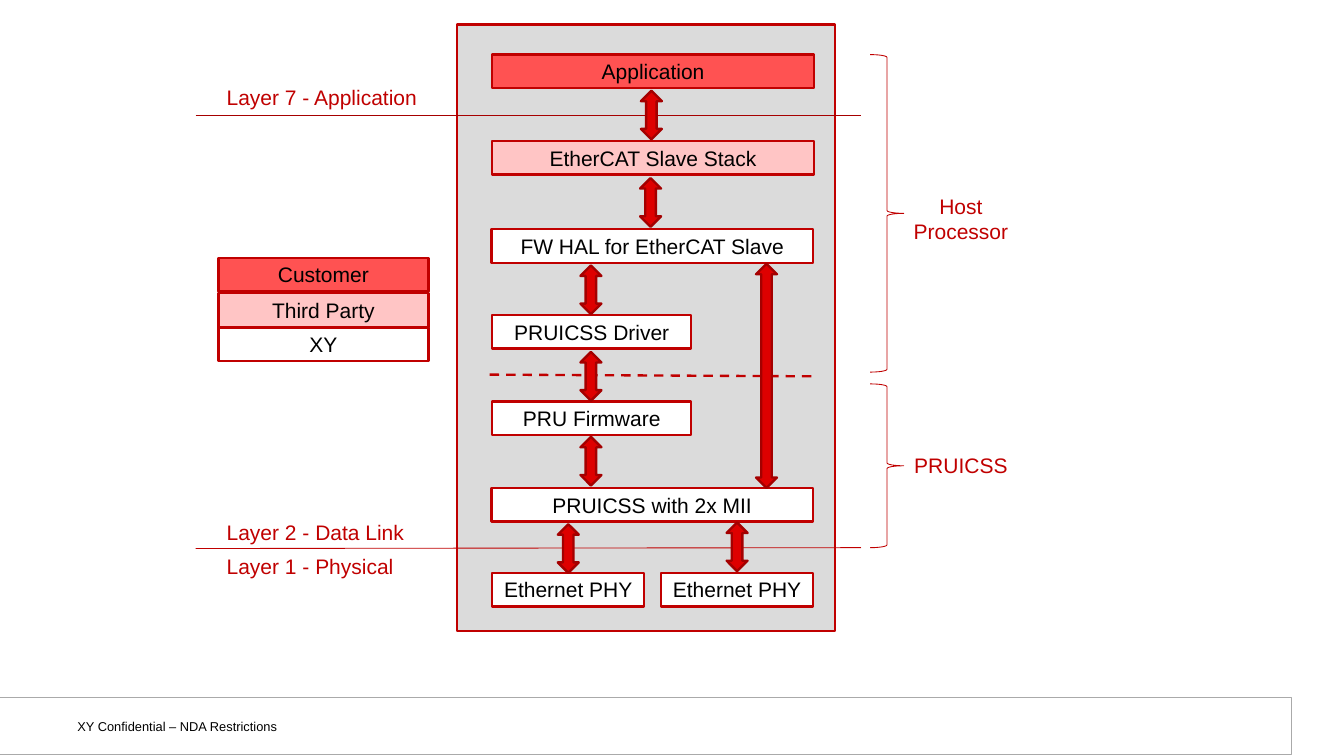
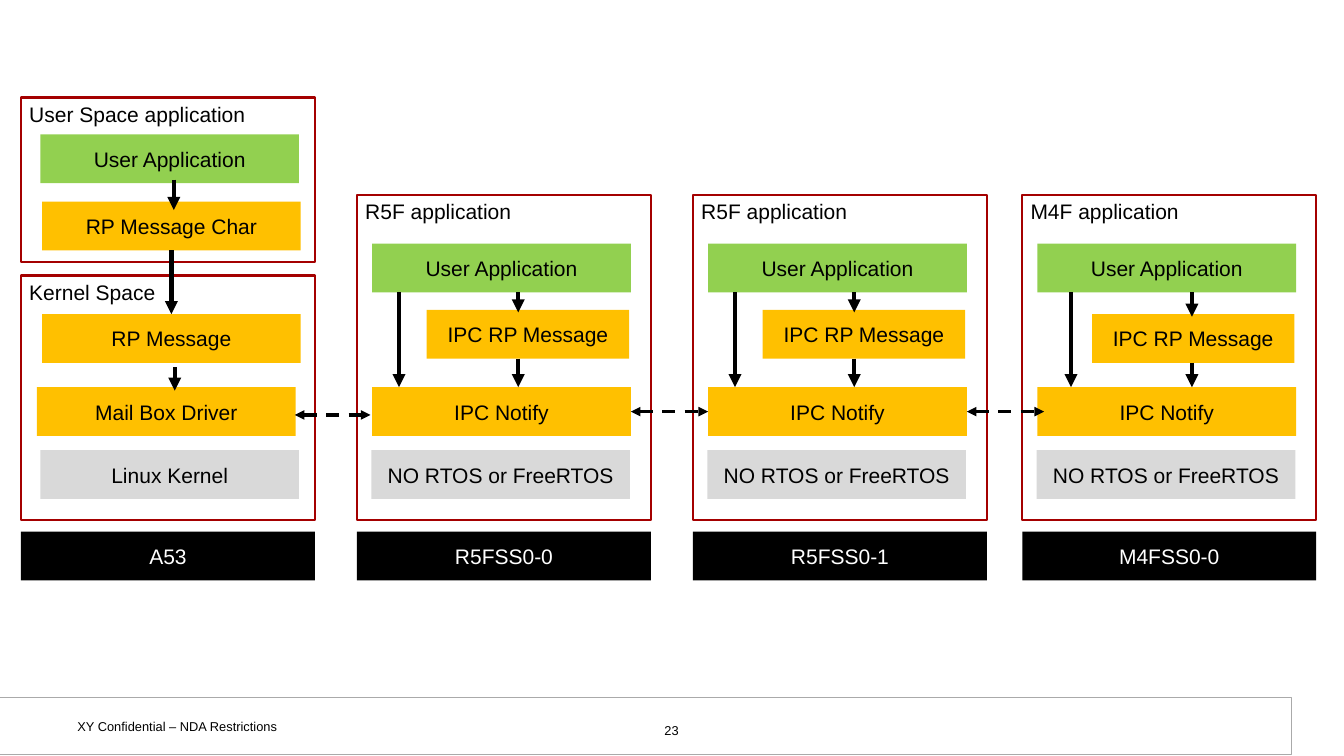
from lxml import etree
from pptx import Presentation
from pptx.dml.color import RGBColor
from pptx.enum import dml, shapes, text
from pptx.oxml import ns
from pptx.util import Inches, Pt

BLACK = RGBColor(0x00, 0x00, 0x00)
WHITE = RGBColor(0xFF, 0xFF, 0xFF)
FRAME_GRAY = RGBColor(0xDB, 0xDB, 0xDB)
OS_GRAY = RGBColor(0xD9, 0xD9, 0xD9)
FOOTER_GRAY = RGBColor(0xAA, 0xAA, 0xAA)
RED = RGBColor(0xC0, 0x00, 0x00)
DARK_RED = RGBColor(0xA4, 0x00, 0x00)
RULE_RED = RGBColor(0xA6, 0x00, 0x00)
ARROW_RED = RGBColor(0xDE, 0x00, 0x00)
CUSTOMER = RGBColor(0xFF, 0x52, 0x52)
THIRD_PARTY = RGBColor(0xFF, 0xC5, 0xC5)
GREEN = RGBColor(0x92, 0xD0, 0x50)
AMBER = RGBColor(0xFF, 0xC0, 0x00)

FONT = "Arial"
SHAPE = shapes.MSO_SHAPE
LEFT, CENTER = text.PP_ALIGN.LEFT, text.PP_ALIGN.CENTER
TOP, MIDDLE = text.MSO_ANCHOR.TOP, text.MSO_ANCHOR.MIDDLE


def box(s, x, y, w, h, label="", shape=SHAPE.RECTANGLE, fill=None, line=None,
        weight=2, color=BLACK, size=18, align=CENTER, anchor=TOP, inset=(0.1, 0.05)):
    """Add a preset shape, or a text box when shape is None."""
    frame = [Inches(v) for v in (x, y, w, h)]
    if shape is None:
        sp = s.shapes.add_textbox(*frame)
    else:
        sp = s.shapes.add_shape(shape, *frame)
        sp.shadow.inherit = False
        if fill is None:
            sp.fill.background()
        else:
            sp.fill.solid()
            sp.fill.fore_color.rgb = fill
        if line is None:
            sp.line.fill.background()
        else:
            sp.line.color.rgb = line
            sp.line.width = Pt(weight)
    if label:
        tf = sp.text_frame
        tf.word_wrap = True
        tf.vertical_anchor = anchor
        tf.margin_left = tf.margin_right = Inches(inset[0])
        tf.margin_top = tf.margin_bottom = Inches(inset[1])
        tf.text = label
        for p in tf.paragraphs:
            p.alignment = align
            p.font.name = FONT
            p.font.size = Pt(size)
            p.font.color.rgb = color
    return sp


def connect(s, x1, y1, x2, y2, color=BLACK, weight=3.75, dash=False, ends=("tailEnd",)):
    """Add a straight connector with a triangle at each named end."""
    c = s.shapes.add_connector(shapes.MSO_CONNECTOR.STRAIGHT,
                               *[Inches(v) for v in (x1, y1, x2, y2)])
    c.line.color.rgb = color
    c.line.width = Pt(weight)
    if dash:
        c.line.dash_style = dml.MSO_LINE.DASH
    ln = c.line._get_or_add_ln()
    for end in ends:
        etree.SubElement(ln, ns.qn("a:" + end), type="triangle")
    etree.SubElement(c._element.spPr, ns.qn("a:effectLst"))
    return c


prs = Presentation()
prs.slide_width, prs.slide_height = Inches(16), Inches(9)
for _ in range(2):
    s = prs.slides.add_slide(prs.slide_layouts[6])
    box(s, -0.03, 8.3, 15.4, 0.68, fill=WHITE, line=FOOTER_GRAY, weight=0.75)
    box(s, 0.79, 8.48, 3.69, 0.31, "XY Confidential – NDA Restrictions", shape=None,
        size=11, align=LEFT, inset=(0.13, 0.07))
stack_slide, cores_slide = prs.slides

# Slide 1: protocol stack
s = stack_slide
box(s, 5.44, 0.29, 4.5, 7.22, fill=FRAME_GRAY, line=RED)
connect(s, 2.33, 1.37, 10.25, 1.37, color=RULE_RED, weight=0.75, ends=())
connect(s, 2.33, 6.53, 10.25, 6.52, color=RED, weight=0.75, ends=())

for y, label in [(0.96, "Layer 7 - Application"), (6.13, "Layer 2 - Data Link"),
                 (6.54, "Layer 1 - Physical")]:
    box(s, 2.6, y, 2.5, 0.4, label, shape=None, color=RED, align=LEFT)

for x, y, w, label, fill in [
    (2.6, 3.07, 2.5, "Customer", CUSTOMER),
    (2.6, 3.49, 2.5, "Third Party", THIRD_PARTY),
    (2.6, 3.9, 2.5, "XY", WHITE),
    (5.86, 0.65, 3.83, "Application", CUSTOMER),
    (5.86, 1.68, 3.83, "EtherCAT Slave Stack", THIRD_PARTY),
    (5.85, 2.73, 3.83, "FW HAL for EtherCAT Slave", WHITE),
    (5.86, 3.75, 2.37, "PRUICSS Driver", WHITE),
    (5.86, 4.78, 2.37, "PRU Firmware", WHITE),
    (5.85, 5.81, 3.83, "PRUICSS with 2x MII", WHITE),
    (5.86, 6.82, 1.81, "Ethernet PHY", WHITE),
    (7.87, 6.82, 1.81, "Ethernet PHY", WHITE),
]:
    box(s, x, y, w, 0.4, label, fill=fill, line=RED)

connect(s, 5.83, 4.46, 9.69, 4.48, color=RED, weight=2, dash=True, ends=())
for x, y, h in [(7.63, 1.08, 0.58), (7.62, 2.12, 0.58), (6.91, 3.16, 0.58),
                (6.91, 4.19, 0.58), (6.91, 5.2, 0.58), (6.64, 6.24, 0.58),
                (8.65, 6.22, 0.58), (9, 3.14, 2.67)]:
    box(s, x, y, 0.25, h, shape=SHAPE.UP_DOWN_ARROW, fill=ARROW_RED, line=DARK_RED)

for y, h, label_y, label_h, label in [(0.65, 3.78, 2.25, 0.7, "Host\nProcessor"),
                                      (4.57, 1.95, 5.34, 0.4, "PRUICSS")]:
    box(s, 10.36, y, 0.4, h, shape=SHAPE.RIGHT_BRACE, line=RED, weight=0.75)
    box(s, 10.41, label_y, 2.06, label_h, label, shape=None, color=RED)

# Slide 2: message passing between cores
s = cores_slide
PANEL_W, BLOCK_W, BLOCK_H = 3.5, 3.08, 0.58
NOTIFY_Y, OS_Y, CORE_Y = 4.61, 5.36, 6.33
panel_style = dict(fill=WHITE, line=DARK_RED, align=LEFT)

box(s, 0.25, 1.16, PANEL_W, 1.96, "User Space application", **panel_style)
box(s, 0.25, 3.28, PANEL_W, 2.91, "Kernel Space", **panel_style)
a53_blocks = {}
for x, y, label, fill in [
    (0.48, 1.6, "User Application", GREEN),
    (0.5, 2.4, "RP Message Char", AMBER),
    (0.5, 3.74, "RP Message", AMBER),
    (0.44, NOTIFY_Y, "Mail Box Driver", AMBER),
    (0.48, OS_Y, "Linux Kernel", OS_GRAY),
]:
    a53_blocks[label] = box(s, x, y, BLOCK_W, BLOCK_H, label, fill=fill, anchor=MIDDLE)
connect(s, 2.07, 2.14, 2.07, 2.5)
c = connect(s, 2.04, 2.98, 2.04, 3.74)
c.begin_connect(a53_blocks["RP Message Char"], 2)
c.end_connect(a53_blocks["RP Message"], 0)
connect(s, 2.08, 4.37, 2.08, 4.65)

notify_blocks = []
for x, title, message_y, notify_dx, message_dx in [
    (4.25, "R5F application", 3.69, 0.5, 1.92),
    (8.25, "R5F application", 3.69, 0.5, 1.92),
    (12.17, "M4F application", 3.74, 0.58, 2.02),
]:
    box(s, x, 2.32, PANEL_W, 3.87, title, **panel_style)
    box(s, x + 0.18, 2.9, BLOCK_W, BLOCK_H, "User Application", fill=GREEN, anchor=MIDDLE)
    box(s, x + 0.83, message_y, 2.41, BLOCK_H, "IPC RP Message", fill=AMBER, anchor=MIDDLE)
    notify_blocks.append(box(s, x + 0.18, NOTIFY_Y, BLOCK_W, BLOCK_H, "IPC Notify",
                             fill=AMBER, anchor=MIDDLE))
    box(s, x + 0.17, OS_Y, BLOCK_W, BLOCK_H, "NO RTOS or FreeRTOS", fill=OS_GRAY,
        anchor=MIDDLE)
    connect(s, x + notify_dx, 3.48, x + notify_dx, NOTIFY_Y)
    connect(s, x + message_dx, 3.48, x + message_dx, message_y + 0.03)
    connect(s, x + message_dx, message_y + BLOCK_H, x + message_dx, NOTIFY_Y)

for x, core in [(0.25, "A53"), (4.25, "R5FSS0-0"), (8.25, "R5FSS0-1"), (12.17, "M4FSS0-0")]:
    box(s, x, CORE_Y, PANEL_W, BLOCK_H, core, fill=BLACK, color=WHITE, anchor=MIDDLE)

link_style = dict(weight=2.75, dash=True, ends=("headEnd", "tailEnd"))
connect(s, 3.51, 4.94, 4.41, 4.94, **link_style)
c = connect(s, 7.51, 4.9, 8.43, 4.9, **link_style)
c.begin_connect(notify_blocks[0], 3)
c.end_connect(notify_blocks[1], 1)
c = connect(s, 11.51, 4.9, 12.43, 4.9, **link_style)
c.begin_connect(notify_blocks[1], 3)

box(s, 6.13, 8.53, 3.73, 0.27, "23", shape=None, size=11, inset=(0.13, 0.07))

prs.save("out.pptx")
